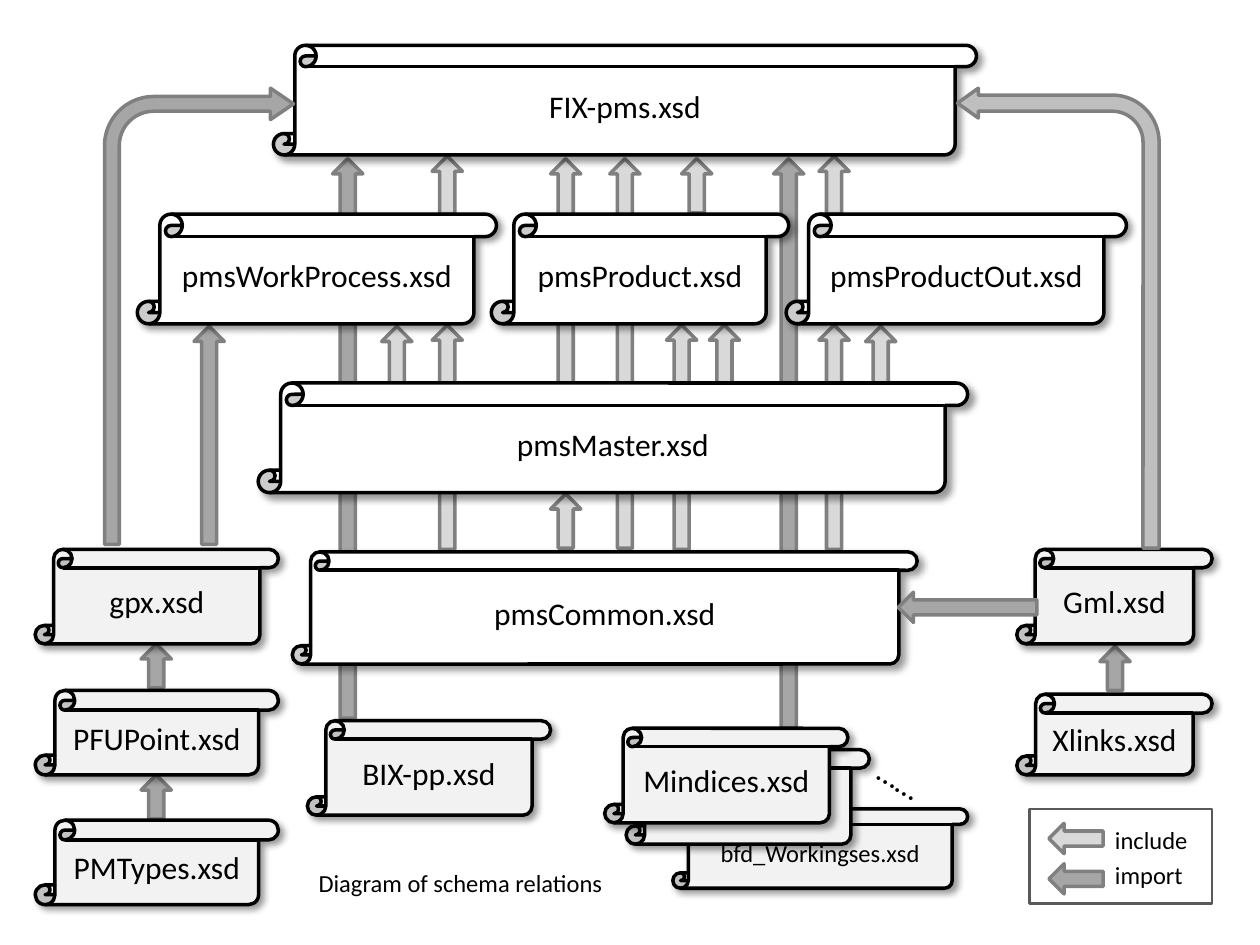
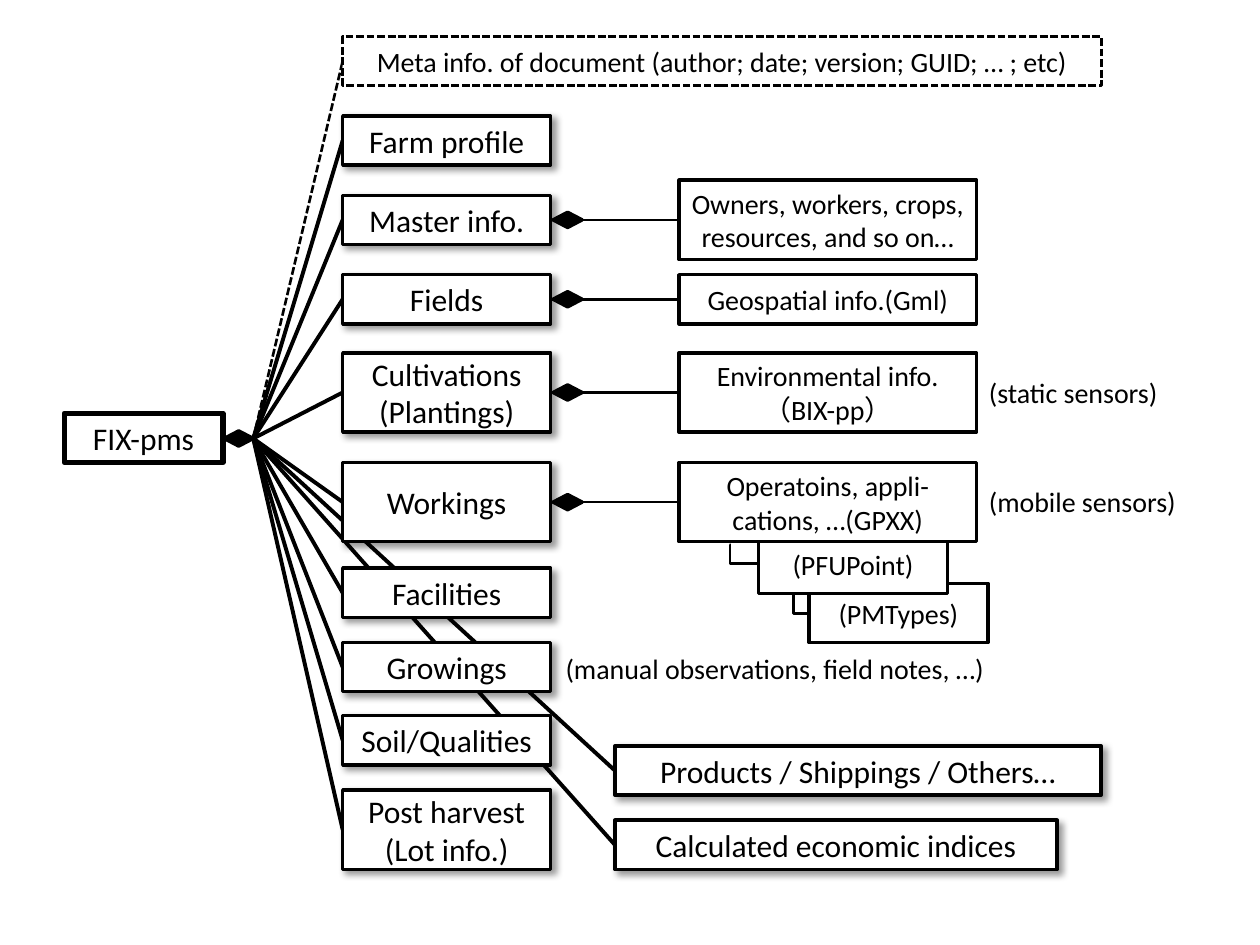
from lxml import etree
from pptx import Presentation
from pptx.dml.color import RGBColor
from pptx.enum.dml import MSO_LINE_DASH_STYLE as DASH
from pptx.enum.shapes import MSO_CONNECTOR as LINK, MSO_SHAPE as SHAPE
from pptx.enum.text import MSO_ANCHOR as ANCHOR, MSO_AUTO_SIZE as FIT, PP_ALIGN as ALIGN
from pptx.oxml.ns import qn
from pptx.util import Inches, Pt

FONT = "Calibri"
BLACK, WHITE, PALE = "000000", "FFFFFF", "F2F2F2"
INCLUDE, IMPORT, BENT_RIGHT = "D9D9D9", "A6A6A6", "BFBFBF"
ARROW_EDGE, LEGEND_EDGE = "808080", "595959"
ARROW_WIDTH = 0.24

ARROWS = [
    (6.14, 1.26, 4.52, IMPORT), (2.64, 1.26, 4.44, IMPORT), (1.54, 2.59, 1.73, IMPORT),
    (1.12, 5.11, 0.35, IMPORT), (1.12, 6.15, 0.35, IMPORT), (8.73, 5.13, 0.35, IMPORT),
    (4.84, 1.26, 3.09, INCLUDE), (4.37, 1.26, 1.78, INCLUDE), (4.37, 3.92, 0.43, INCLUDE),
    (5.41, 1.26, 0.43, INCLUDE), (3.43, 1.24, 0.46, INCLUDE), (6.5, 1.24, 0.46, INCLUDE),
    (3.03, 2.59, 0.45, INCLUDE), (5.63, 2.58, 0.46, INCLUDE), (6.87, 2.59, 0.45, INCLUDE),
    (3.43, 2.58, 1.78, INCLUDE), (5.29, 2.58, 1.78, INCLUDE), (6.5, 2.58, 1.78, INCLUDE),
]
SCHEMAS = [
    ("FIX-pms.xsd", 2.17, 0.36, 5.58, 0.87, 0.195, WHITE),
    ("pmsProductOut.xsd", 6.24, 1.7, 2.7, 0.87, 0.205, WHITE),
    ("pmsProduct.xsd", 3.9, 1.7, 2.36, 0.87, 0.205, WHITE),
    ("pmsWorkProcess.xsd", 1.09, 1.7, 2.85, 0.87, 0.205, WHITE),
    ("pmsMaster.xsd", 2.05, 3.04, 5.63, 0.87, 0.205, WHITE),
    ("pmsCommon.xsd", 2.32, 4.38, 4.96, 0.89, 0.164, WHITE),
    ("gpx.xsd", 0.28, 4.36, 1.93, 0.75, 0.195, PALE),
    ("PFUPoint.xsd", 0.28, 5.48, 1.93, 0.67, 0.234, PALE),
    ("PMTypes.xsd", 0.28, 6.51, 1.93, 0.67, 0.234, PALE),
    ("Gml.xsd", 8.07, 4.36, 1.55, 0.75, 0.195, PALE),
    ("Xlinks.xsd", 8.07, 5.51, 1.55, 0.64, 0.234, PALE),
    ("BIX-pp.xsd", 2.44, 5.72, 1.93, 0.75, 0.195, PALE),
]

HUB = (2.01, 3.48)
PART_LEFT, PART_WIDTH = 2.72, 1.65
DETAIL_LEFT, DETAIL_WIDTH = 5.39, 2.36
OUTCOME_LEFT = 4.88
LOW, TALL = 0.39, 0.63
META_TOP = 0.29
PARTS = [
    ("Farm profile", 0.92, LOW), ("Master info.", 1.55, LOW), ("Fields", 2.18, LOW),
    ("Cultivations\n(Plantings)", 2.8, TALL), ("Workings", 3.67, TALL),
    ("Facilities", 4.51, LOW), ("Growings", 5.1, LOW), ("Soil/Qualities", 5.68, LOW),
    ("Post harvest\n(Lot info.)", 6.27, TALL),
]
DETAILS = [
    ("Owners, workers, crops, resources, and so on…", 1.43, TALL),
    ("Geospatial info.(Gml)", 2.18, LOW),
    ("Environmental info.\n（BIX-pp）", 2.8, TALL),
    ("Operatoins, appli-cations, …(GPXX)", 3.67, TALL),
]
OUTCOMES = [
    ("Products / Shippings / Others…", 5.92, 3.86),
    ("Calculated economic indices", 6.51, 3.51),
]


def rgb(code):
    """Turn a hex string into a colour."""
    return RGBColor.from_string(code)


def write(frame, text, size=18, align=ALIGN.CENTER, anchor=ANCHOR.MIDDLE, fit=FIT.NONE):
    """Fill a text frame, one paragraph for each line of text."""
    frame.word_wrap = True
    frame.auto_size = fit
    frame.vertical_anchor = anchor
    for index, line in enumerate(text.split("\n")):
        paragraph = frame.add_paragraph() if index else frame.paragraphs[0]
        paragraph.alignment = align
        run = paragraph.add_run()
        run.text = line
        run.font.name, run.font.size = FONT, Pt(size)
        run.font.color.rgb = rgb(BLACK)


def cast_shadow(shape):
    """Give a shape the soft shadow to the lower right."""
    effects = shape.element.spPr.find(qn("a:effectLst"))
    shadow = etree.SubElement(effects, qn("a:outerShdw"), blurRad="50800", dist="38100",
                              dir="2700000", algn="tl", rotWithShape="0")
    colour = etree.SubElement(shadow, qn("a:srgbClr"), val=BLACK)
    etree.SubElement(colour, qn("a:alpha"), val="40000")


def outlined(shapes, kind, left, top, width, height, fill=WHITE, edge=BLACK, weight=2,
             dash=None, shadow=False, adjust=()):
    """Add a preset shape with its fill, outline and adjustments."""
    shape = shapes.add_shape(kind, Inches(left), Inches(top), Inches(width), Inches(height))
    shape.shadow.inherit = False
    if fill:
        shape.fill.solid()
        shape.fill.fore_color.rgb = rgb(fill)
    else:
        shape.fill.background()
    shape.line.color.rgb = rgb(edge)
    shape.line.width = Pt(weight)
    if dash:
        shape.line.dash_style = dash
    for index, value in enumerate(adjust):
        shape.adjustments[index] = value
    if shadow:
        cast_shadow(shape)
    return shape


def box(shapes, text, left, top, width, height, size=18, **look):
    """Add a labelled rectangle."""
    shape = outlined(shapes, SHAPE.RECTANGLE, left, top, width, height, **look)
    write(shape.text_frame, text, size=size)


def scroll(shapes, text, left, top, width, height, curl, fill, size=18):
    """Add a schema file drawn as a scroll."""
    sheet = outlined(shapes, SHAPE.VERTICAL_SCROLL, left, top, width, height,
                     fill=fill, shadow=True, adjust=[curl])
    if text:
        write(sheet.text_frame, text, size=size)


def arrow(shapes, left, top, height, fill, rotation=0):
    """Add a block arrow that points up before its rotation."""
    shape = outlined(shapes, SHAPE.UP_ARROW, left, top, ARROW_WIDTH, height,
                     fill=fill, edge=ARROW_EDGE)
    shape.rotation = rotation


def bent_arrow(shapes, left, top, width, height, fill, adjust, mirrored=False):
    """Add a bent block arrow that rises and turns inwards."""
    shape = outlined(shapes, SHAPE.BENT_ARROW, left, top, width, height,
                     fill=fill, edge=ARROW_EDGE, adjust=adjust)
    if mirrored:
        shape.element.spPr.find(qn("a:xfrm")).set("flipH", "1")


def caption(shapes, text, left, top, width, height, size=16, rotation=0):
    """Add a plain text note."""
    note = shapes.add_textbox(Inches(left), Inches(top), Inches(width), Inches(height))
    note.rotation = rotation
    write(note.text_frame, text, size=size, align=ALIGN.LEFT, anchor=ANCHOR.TOP,
          fit=FIT.SHAPE_TO_FIT_TEXT)


def link(shapes, start, end, weight=2.25, dash=None, bend=None):
    """Add a straight line, or an elbow that bends at a share of its width."""
    kind = LINK.STRAIGHT if bend is None else LINK.ELBOW
    line = shapes.add_connector(kind, *[Inches(value) for value in (*start, *end)])
    line.line.color.rgb = rgb(BLACK)
    line.line.width = Pt(weight)
    if dash:
        line.line.dash_style = dash
    properties = line.element.spPr
    etree.SubElement(properties, qn("a:effectLst"))
    if bend is not None:
        guides = properties.find(qn("a:prstGeom")).find(qn("a:avLst"))
        etree.SubElement(guides, qn("a:gd"), name="adj1", fmla=f"val {round(bend * 100000)}")


def diamond(shapes, left, middle):
    """Add the black composition mark centred on a height."""
    outlined(shapes, SHAPE.DIAMOND, left, middle - 0.06, 0.23, 0.12, fill=BLACK)


def index_stack(slide):
    """Draw the overlapping index schemas."""
    stack = slide.shapes.add_group_shape().shapes
    scroll(stack, "bfd_Workingses.xsd", 5.34, 6.42, 2.34, 0.63, 0.195, PALE, size=14)
    scroll(stack, "", 4.97, 5.95, 1.93, 0.75, 0.195, PALE)
    scroll(stack, "Mindices.xsd", 4.8, 5.78, 1.93, 0.75, 0.195, PALE)
    caption(stack, "……", 6.87, 6, 0.6, 0.4, size=18, rotation=30.6)


def legend(slide):
    """Draw the key of arrow colours."""
    key = slide.shapes.add_group_shape().shapes
    outlined(key, SHAPE.RECTANGLE, 8.17, 6.42, 1.45, 0.75, fill=None,
             edge=LEGEND_EDGE, weight=1.5)
    for text, top, text_top, fill in [("include", 6.44, 6.5, INCLUDE),
                                      ("import", 6.76, 6.78, IMPORT)]:
        arrow(key, 8.42, top, 0.43, fill, rotation=270)
        caption(key, text, 8.75, text_top, 0.82, 0.34, size=14)


def schema_slide(slide):
    """Draw the schema relations."""
    shapes = slide.shapes
    for spot in ARROWS:
        arrow(shapes, *spot)
    for schema in SCHEMAS:
        scroll(shapes, *schema)
    bent_arrow(shapes, 0.83, 0.7, 1.5, 3.62, IMPORT, [0.078, 0.083, 0.122, 0.26])
    bent_arrow(shapes, 7.6, 0.7, 1.6, 3.65, BENT_RIGHT, [0.08, 0.074, 0.103, 0.233],
               mirrored=True)
    arrow(shapes, 7.56, 4.27, 1.1, IMPORT, rotation=270)
    index_stack(slide)
    legend(slide)
    caption(shapes, "Diagram of schema relations", 2.43, 6.84, 2.53, 0.34, size=14)


def document_slide(slide):
    """Draw the composition of the document."""
    shapes = slide.shapes
    for _, top, _ in OUTCOMES:
        link(shapes, HUB, (OUTCOME_LEFT, top + LOW / 2))
    for _, top, height in PARTS:
        link(shapes, HUB, (PART_LEFT, top + height / 2))
    link(shapes, HUB, (PART_LEFT, META_TOP + LOW / 2), weight=1.5, dash=DASH.SQUARE_DOT)
    link(shapes, (5.79, 4.32), (6.02, 4.47), weight=1.5, bend=0.015)
    link(shapes, (6.18, 4.71), (6.42, 4.87), weight=1.5, bend=0.5)
    box(shapes, "(PMTypes)", 6.42, 4.63, 1.42, 0.47, size=16)
    box(shapes, "(PFUPoint)", 6.02, 4.24, 1.5, 0.47, size=16)

    box(shapes, "FIX-pms", 0.51, 3.28, 1.26, LOW, weight=3)
    diamond(shapes, 1.78, HUB[1])
    box(shapes, "Meta info. of document (author; date; version; GUID; … ; etc)",
        PART_LEFT, META_TOP, 6.02, LOW, size=16, weight=1.5, dash=DASH.SQUARE_DOT)
    for text, top, height in PARTS:
        box(shapes, text, PART_LEFT, top, PART_WIDTH, height, shadow=True)
    for text, top, height in DETAILS:
        middle = top + height / 2
        link(shapes, (PART_LEFT + PART_WIDTH, middle), (DETAIL_LEFT, middle), weight=1.5)
        diamond(shapes, 4.39, middle)
        box(shapes, text, DETAIL_LEFT, top, DETAIL_WIDTH, height, size=16)
    for text, top, width in OUTCOMES:
        box(shapes, text, OUTCOME_LEFT, top, width, LOW, shadow=True)

    caption(shapes, "(static sensors)", 7.75, 2.93, 1.66, 0.37)
    caption(shapes, "(mobile sensors)", 7.75, 3.8, 1.97, 0.37)
    caption(shapes, "(manual observations, field notes, …)", 4.39, 5.12, 4.31, 0.37)


def main():
    """Build both slides and save them."""
    deck = Presentation()
    deck.slide_width, deck.slide_height = Inches(10), Inches(7.5)
    for draw in (schema_slide, document_slide):
        draw(deck.slides.add_slide(deck.slide_layouts[6]))
    deck.save("out.pptx")


main()
